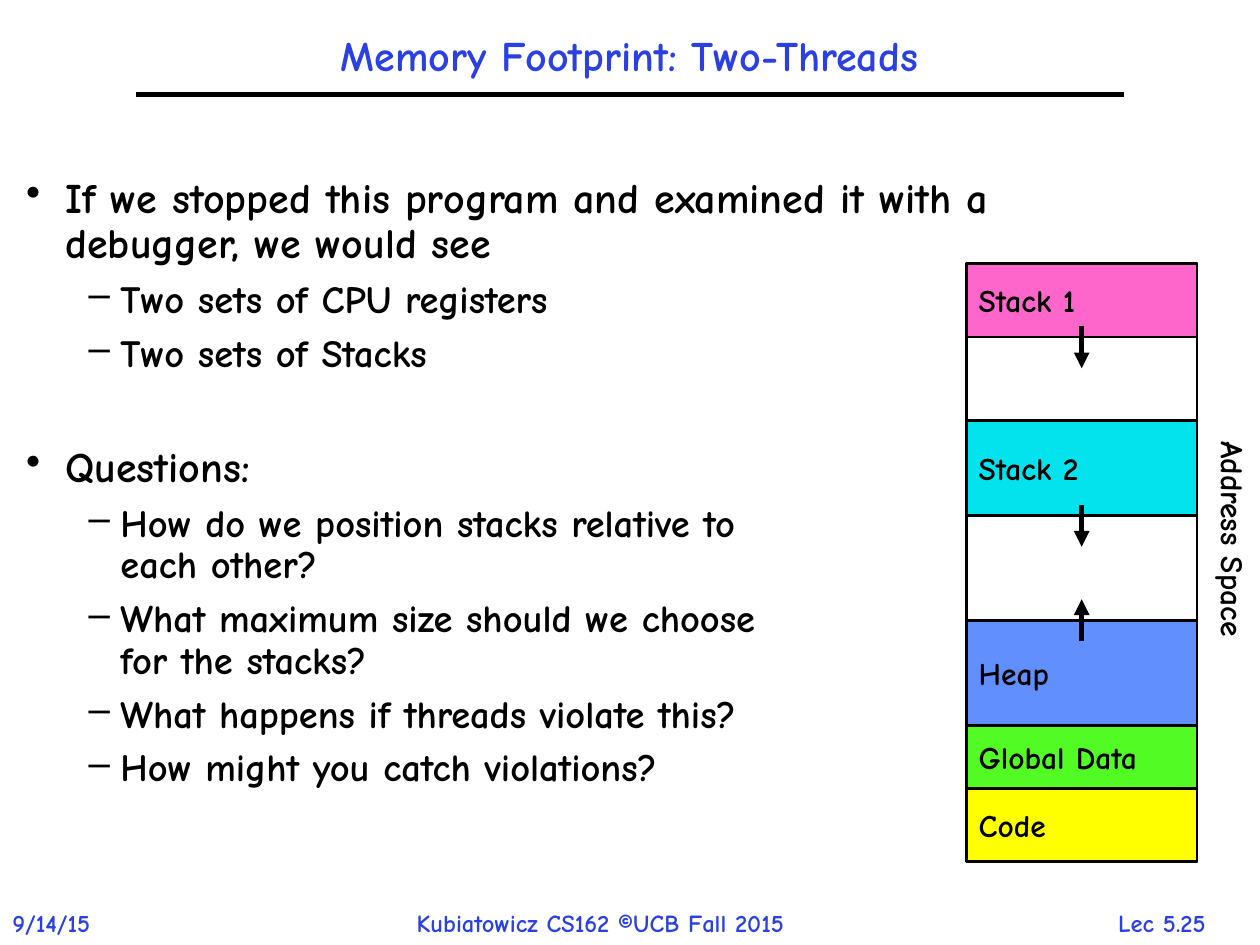
import pptx
import pptx.dml.color
import pptx.enum.shapes
import pptx.enum.text
import pptx.oxml.ns
import pptx.util
from lxml import etree

Cm = pptx.util.Cm
Pt = pptx.util.Pt
ALIGN = pptx.enum.text.PP_ALIGN
ANCHOR = pptx.enum.text.MSO_ANCHOR

FONT = "Comic Neue"
COLORS = {
    "blue": "2A40E2", "black": "000000", "white": "FFFFFF", "pink": "FF66CC",
    "cyan": "02E3EE", "heap": "618FFD", "green": "53FB25", "yellow": "FFFF00",
}
TITLE = "Memory Footprint: Two-Threads"
BODY = [
    (0, "If we stopped this program and examined it with a debugger, we would see", 0),
    (1, "Two sets of CPU registers", 7),
    (1, "Two sets of Stacks", 7),
    (0, "Questions:", 40.5),
    (1, "How do we position stacks relative to\veach other?", 7),
    (1, "What maximum size should we choose\vfor the stacks?", 7),
    (1, "What happens if threads violate this?", 7),
    (1, "How might you catch violations?", 7),
]
LEVELS = [
    {"size": 24, "bullet": "•", "margin": 0.79, "indent": -0.79},
    {"size": 22, "bullet": "–", "margin": 1.9, "indent": -0.64},
]
FOOTERS = [
    ("9/14/15", 0, 2.54, ALIGN.LEFT),
    ("Kubiatowicz CS162 ©UCB Fall 2015", 8.15, 9.17, ALIGN.LEFT),
    ("Lec 5.25", 21.89, 3.07, ALIGN.CENTER),
]
REGIONS = [
    ("Stack 1", 7, "pink"), (None, 8, None), ("Stack 2", 9, "cyan"), (None, 10, None),
    ("Heap", 10, "heap"), ("Global Data", 6, "green"), ("Code", 7, "yellow"),
]
ARROWS = {"Stack 1": (6, 10), "Stack 2": (8, 12), "Heap": (2, -2)}
MEMORY_LEFT, MEMORY_TOP, MEMORY_WIDTH, MEMORY_HEIGHT = 19.48, 5.31, 4.65, 12.06
UNIT = MEMORY_HEIGHT / sum(region[1] for region in REGIONS)


def rgb(name):
    return pptx.dml.color.RGBColor.from_string(COLORS[name])


def write(paragraph, text, size=18, color="black", align=ALIGN.LEFT, spacing=None,
          before=0, bullet=None, margin=0, indent=0):
    paragraph.text = text
    paragraph.alignment = align
    paragraph.line_spacing = spacing
    paragraph.space_before = Pt(before)
    if bullet:
        properties = paragraph._p.get_or_add_pPr()
        properties.set("marL", str(Cm(margin)))
        properties.set("indent", str(Cm(indent)))
        etree.SubElement(properties, pptx.oxml.ns.qn("a:buChar")).set("char", bullet)
    font = paragraph.font
    font.name, font.size, font.bold = FONT, Pt(size), True
    font.color.rgb = rgb(color)
    for run in paragraph.runs:
        run.font.name, run.font.size, run.font.bold = FONT, Pt(size), True
        run.font.color.rgb = rgb(color)


def add_text_box(slide, left, top, width, height):
    box = slide.shapes.add_textbox(Cm(left), Cm(top), Cm(width), Cm(height))
    box.text_frame.word_wrap = True
    return box


def add_line(slide, start, end, arrow=False):
    line = slide.shapes.add_connector(
        pptx.enum.shapes.MSO_CONNECTOR.STRAIGHT, *(Cm(value) for value in start + end))
    line.line.color.rgb = rgb("black")
    line.line.width = Pt(3)
    if arrow:
        tail = etree.SubElement(line.line._get_or_add_ln(), pptx.oxml.ns.qn("a:tailEnd"))
        tail.set("type", "triangle")
    etree.SubElement(line._element.spPr, pptx.oxml.ns.qn("a:effectLst"))


def add_region(slide, top, height, fill, text=None):
    region = slide.shapes.add_shape(
        pptx.enum.shapes.MSO_SHAPE.RECTANGLE,
        Cm(MEMORY_LEFT), Cm(top), Cm(MEMORY_WIDTH), Cm(height))
    region.shadow.inherit = False
    region.fill.solid()
    region.fill.fore_color.rgb = rgb(fill)
    region.line.color.rgb = rgb("black")
    region.line.width = Pt(1.5)
    if text:
        region.text_frame.vertical_anchor = ANCHOR.MIDDLE
        write(region.text_frame.paragraphs[0], text)


def add_memory(slide):
    add_region(slide, MEMORY_TOP, MEMORY_HEIGHT, "white")
    top = MEMORY_TOP
    arrows = []
    for text, units, fill in REGIONS:
        if text:
            add_region(slide, top, units * UNIT, fill, text)
        if text in ARROWS:
            arrows.append([top + offset * UNIT for offset in ARROWS[text]])
        top += units * UNIT
    center = MEMORY_LEFT + MEMORY_WIDTH / 2
    for start, end in arrows:
        add_line(slide, (center, start), (center, end), arrow=True)
    label = add_text_box(slide, 22.28, 10.72, 5.16, 1.02)
    label.rotation = 90
    write(label.text_frame.paragraphs[0], "Address Space")


def main():
    presentation = pptx.Presentation()
    presentation.slide_width, presentation.slide_height = Cm(25.4), Cm(19.05)
    slide = presentation.slides.add_slide(presentation.slide_layouts[5])

    title = slide.shapes.title
    title.left, title.top, title.width, title.height = Cm(2.74), Cm(0.43), Cm(19.89), Cm(1.47)
    title.text_frame.vertical_anchor = ANCHOR.MIDDLE
    write(title.text_frame.paragraphs[0], TITLE, size=24, color="blue",
          align=ALIGN.CENTER, spacing=0.9)
    add_line(slide, (2.74, 1.9), (22.66, 1.9))

    frame = add_text_box(slide, 0.28, 3.45, 22.66, 14.17).text_frame
    for index, (level, text, before) in enumerate(BODY):
        paragraph = frame.add_paragraph() if index else frame.paragraphs[0]
        paragraph.level = level
        write(paragraph, text, spacing=0.9, before=before, **LEVELS[level])

    add_memory(slide)
    for text, left, width, align in FOOTERS:
        box = add_text_box(slide, left, 18.19, width, 0.86)
        write(box.text_frame.paragraphs[0], text, size=14, color="blue", align=align)
    presentation.save("out.pptx")


if __name__ == "__main__":
    main()
